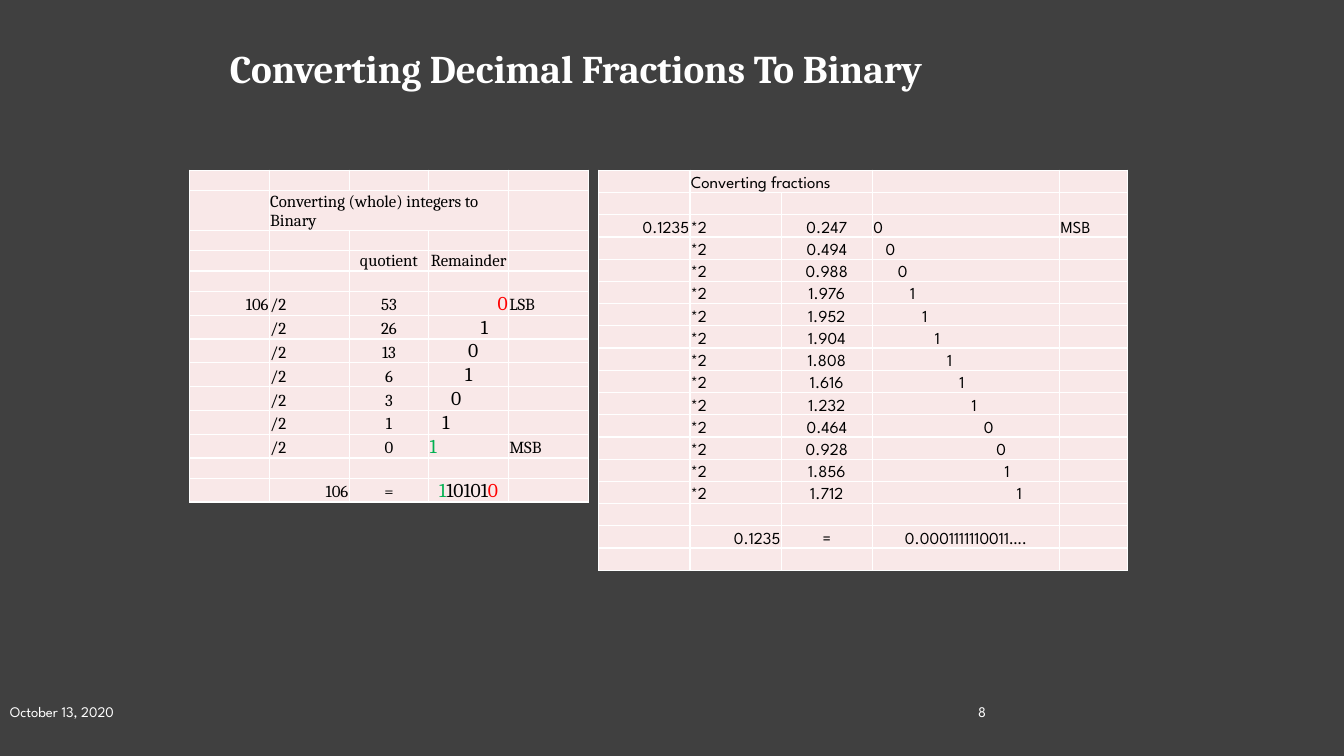
from dataclasses import dataclass

from lxml.etree import SubElement
from pptx import Presentation
from pptx.dml.color import RGBColor
from pptx.enum.text import MSO_ANCHOR, PP_ALIGN
from pptx.oxml.ns import qn
from pptx.util import Cm, Pt

LEFT, CENTER, RIGHT = PP_ALIGN.LEFT, PP_ALIGN.CENTER, PP_ALIGN.RIGHT


@dataclass(frozen=True)
class Theme:
    background: str = "404040"
    light: str = "FFFFFF"
    dark: str = "000000"
    cell: str = "F9E8E8"
    lsb: str = "FF0000"
    msb: str = "00B050"
    serif: str = "Cambria"
    sans: str = "League Spartan"
    title: float = 28
    body: float = 12
    digit: float = 14
    footer: float = 10.5
    empty: float = 10


THEME = Theme()

TITLE = "Converting Decimal Fractions To Binary"
DATE, PAGE = "October 13, 2020", "8"

# quotient, remainder, alignment, indent in cm, colour
INTEGER_STEPS = [
    ("53", "0", RIGHT, 0, THEME.lsb),
    ("26", "1", LEFT, 1.29, THEME.dark),
    ("13", "0", LEFT, 0.97, THEME.dark),
    ("6", "1", CENTER, 0, THEME.dark),
    ("3", "0", LEFT, 0.54, THEME.dark),
    ("1", "1", LEFT, 0.32, THEME.dark),
    ("0", "1", LEFT, 0, THEME.msb),
]
INTEGER_RESULT = [("1", THEME.msb), ("10101", THEME.dark), ("0", THEME.lsb)]
FRACTION_PRODUCTS = ["0.247", "0.494", "0.988", "1.976", "1.952", "1.904", "1.808",
                     "1.616", "1.232", "0.464", "0.928", "1.856", "1.712"]
FRACTION_INDENT = 0.31


def rgb(value):
    return RGBColor.from_string(value)


def style(p, font, size, color, align=LEFT, bold=False):
    p.alignment = align
    p.font.name, p.font.size, p.font.bold = font, Pt(size), bold
    p.font.color.rgb = rgb(color)


def style_cell(cell):
    """Fill the cell, outline it, tighten its margins and keep its empty line small."""
    cell.margin_left = cell.margin_right = cell.margin_top = Cm(0.02)
    cell.margin_bottom = 0
    cell.vertical_anchor = MSO_ANCHOR.BOTTOM
    tc_pr = cell._tc.get_or_add_tcPr()
    for side in ("a:lnL", "a:lnR", "a:lnT", "a:lnB"):
        line = SubElement(tc_pr, qn(side), w=str(Pt(1)))
        SubElement(SubElement(line, qn("a:solidFill")), qn("a:srgbClr"), val=THEME.light)
    cell.fill.solid()
    cell.fill.fore_color.rgb = rgb(THEME.cell)
    end = SubElement(cell.text_frame.paragraphs[0]._p, qn("a:endParaRPr"))
    end.set("sz", str(round(THEME.empty * 100)))


def add_grid(slide, left, top, widths, heights):
    frame = slide.shapes.add_table(len(heights), len(widths), Cm(left), Cm(top),
                                   Cm(sum(widths)), Cm(sum(heights)))
    table = frame.table
    table.first_row = table.horz_banding = False
    for column, width in zip(table.columns, widths):
        column.width = Cm(width)
    for row, height in zip(table.rows, heights):
        row.height = Cm(height)
        for cell in row.cells:
            style_cell(cell)
    return table


def write(cell, text, font, align=LEFT, size=THEME.body, color=THEME.dark, indent=0):
    """Write a string, or a list of (text, colour) runs, into a cell."""
    p = cell.text_frame.paragraphs[0]
    if indent:
        p._p.get_or_add_pPr().set("marL", str(Cm(indent)))
    style(p, font, size, color, align)
    for part, part_color in [(text, color)] if isinstance(text, str) else text:
        r = p.add_run()
        r.text = part
        r.font.color.rgb = rgb(part_color)


def add_integer_table(slide, left, top):
    first, font = 5, THEME.serif
    result = first + len(INTEGER_STEPS) + 1
    heights = [0.51, 1.01] + [0.51] * 3 + [0.6] * len(INTEGER_STEPS) + [0.51, 0.6]
    table = add_grid(slide, left, top, [2.01] * 5, heights)
    cell = table.cell
    cell(1, 1).merge(cell(1, 3))
    write(cell(1, 1), "Converting (whole) integers to Binary", font)
    write(cell(3, 2), "quotient", font, CENTER)
    write(cell(3, 3), "Remainder", font, CENTER)
    write(cell(first, 0), "106", font, RIGHT)
    write(cell(first, 4), "LSB", font)
    write(cell(result - 2, 4), "MSB", font)
    for row, (quotient, bit, align, indent, color) in enumerate(INTEGER_STEPS, first):
        write(cell(row, 1), "/2", font)
        write(cell(row, 2), quotient, font, CENTER)
        write(cell(row, 3), bit, font, align, THEME.digit, color, indent)
    write(cell(result, 1), "106", font, RIGHT)
    write(cell(result, 2), "=", font, CENTER)
    write(cell(result, 3), INTEGER_RESULT, font, CENTER, THEME.digit)


def add_fraction_table(slide, left, top):
    first, font = 2, THEME.sans
    result = first + len(FRACTION_PRODUCTS) + 1
    table = add_grid(slide, left, top, [2.3, 2.3, 2.3, 4.72, 1.7], [0.56] * (result + 2))
    cell = table.cell
    cell(0, 1).merge(cell(0, 2))
    write(cell(0, 1), "Converting fractions", font)
    write(cell(first, 0), "0.1235", font, RIGHT)
    write(cell(first, 4), "MSB", font)
    for step, product in enumerate(FRACTION_PRODUCTS):
        row = first + step
        write(cell(row, 1), "*2", font)
        write(cell(row, 2), product, font, CENTER)
        # The last two digits sit a little closer to the ones above
        indent = step * FRACTION_INDENT - (0.1 if step > 10 else 0)
        write(cell(row, 3), product[0], font, indent=indent)
    write(cell(result, 1), "0.1235", font, RIGHT)
    write(cell(result, 2), "=", font, CENTER)
    write(cell(result, 3), "0.0001111110011….", font, CENTER)


def add_footer(slide, text, left, width, align):
    tf = slide.shapes.add_textbox(Cm(left), Cm(17.42), Cm(width), Cm(1.02)).text_frame
    tf.word_wrap = True
    tf.vertical_anchor = MSO_ANCHOR.MIDDLE
    tf.text = text
    style(tf.paragraphs[0], THEME.sans, THEME.footer, THEME.light, align)


def add_title(slide):
    sp = slide.shapes.title
    sp.left, sp.top, sp.width, sp.height = Cm(5.54), Cm(0.99), Cm(22.94), Cm(1.22)
    tf = sp.text_frame
    tf.text = TITLE
    tf.vertical_anchor = MSO_ANCHOR.TOP
    style(tf.paragraphs[0], THEME.serif, THEME.title, THEME.light, bold=True)


def main():
    prs = Presentation()
    prs.slide_width, prs.slide_height = Cm(33.87), Cm(19.05)
    slide = prs.slides.add_slide(prs.slide_layouts[5])
    slide.background.fill.solid()
    slide.background.fill.fore_color.rgb = rgb(THEME.background)
    add_title(slide)
    add_integer_table(slide, 4.78, 4.29)
    add_fraction_table(slide, 15.09, 4.29)
    add_footer(slide, PAGE, 18.62, 6.48, RIGHT)
    add_footer(slide, DATE, 0, 8.05, LEFT)
    prs.save("out.pptx")


if __name__ == "__main__":
    main()
